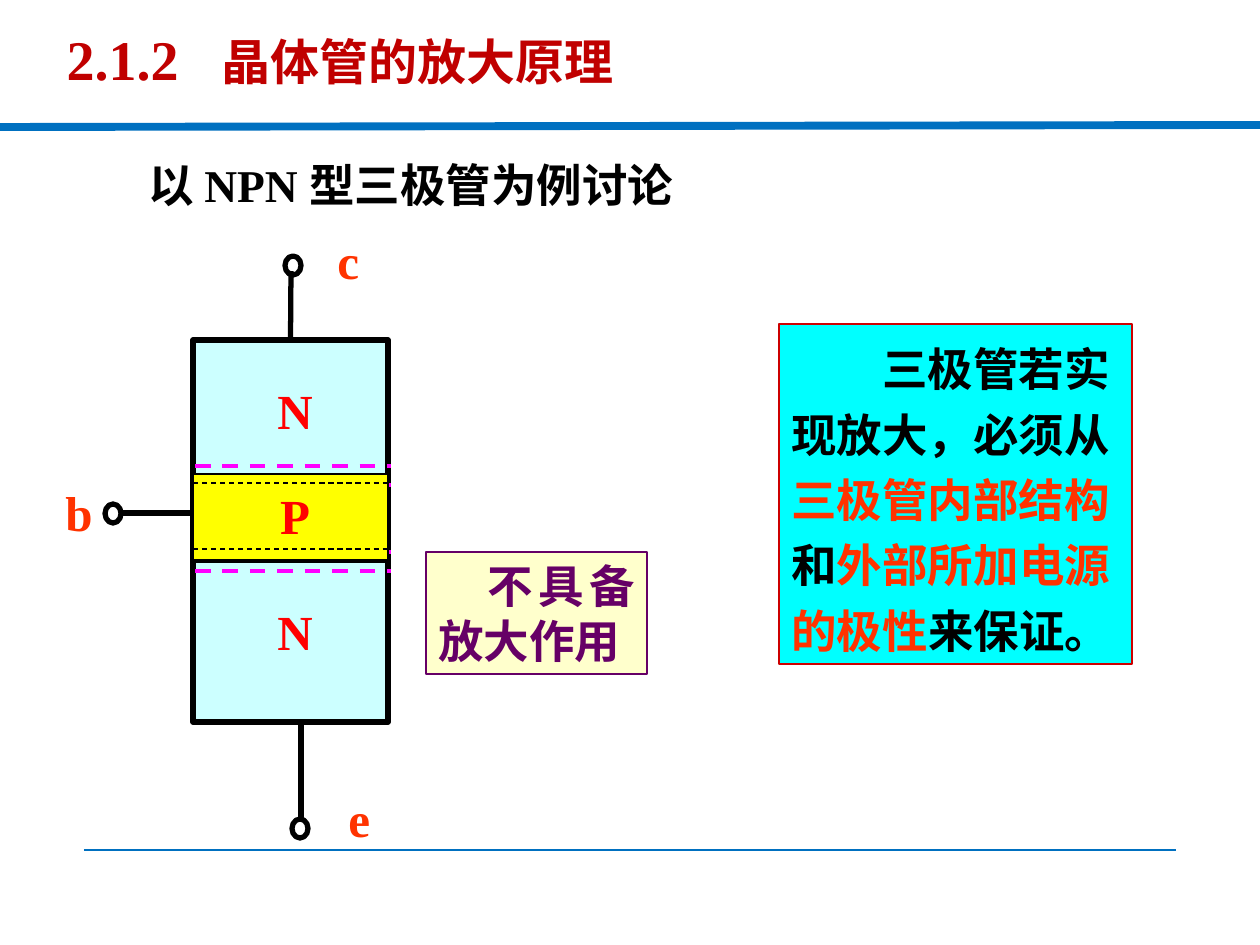
from lxml import etree
from pptx import Presentation
from pptx.dml.color import RGBColor
from pptx.enum.dml import MSO_LINE
from pptx.enum.shapes import MSO_CONNECTOR, MSO_SHAPE
from pptx.enum.text import MSO_ANCHOR, MSO_AUTO_SIZE, PP_ALIGN
from pptx.oxml.ns import qn
from pptx.util import Emu, Pt

PX = 914400 / 126
FONT = "Times New Roman"
DASH = MSO_LINE.DASH
STRAIGHT = MSO_CONNECTOR.STRAIGHT
RECTANGLE, OVAL = MSO_SHAPE.RECTANGLE, MSO_SHAPE.OVAL
TOP, MIDDLE = MSO_ANCHOR.TOP, MSO_ANCHOR.MIDDLE
LEFT, CENTER, JUSTIFY = PP_ALIGN.LEFT, PP_ALIGN.CENTER, PP_ALIGN.JUSTIFY
TITLE_ONLY = 5
COLORS = {
    "rule": "0070C0", "title": "C00000", "black": "000000",
    "terminal": "FF3300", "region": "FF0000", "n_type": "CCFFFF",
    "p_type": "FFFF00", "depletion": "FF00FF", "cyan": "00FFFF",
    "cyan_edge": "CC0000", "note": "FFFFCC", "purple": "660066",
}


def px(value):
    return Emu(round(value * PX))


def color(name):
    return RGBColor.from_string(COLORS[name])


def add_line(slide, start, end, line_color, width, dash=None):
    line = slide.shapes.add_connector(STRAIGHT, *map(px, (*start, *end)))
    line.line.color.rgb = color(line_color)
    line.line.width = Pt(width)
    if dash:
        line.line.dash_style = dash
    etree.SubElement(line._element.spPr, qn("a:effectLst"))
    return line


def add_shape(slide, kind, box, fill, line_color, width):
    shape = slide.shapes.add_shape(kind, *map(px, box))
    shape.shadow.inherit = False
    if fill:
        shape.fill.solid()
        shape.fill.fore_color.rgb = color(fill)
    else:
        shape.fill.background()
    shape.line.color.rgb = color(line_color)
    shape.line.width = Pt(width)
    return shape


def write(shape, pieces, align=LEFT, anchor=TOP, wrap=True, indent=0):
    frame = shape.text_frame
    frame.word_wrap = wrap
    frame.auto_size = MSO_AUTO_SIZE.NONE
    frame.vertical_anchor = anchor
    paragraph = frame.paragraphs[0]
    paragraph.alignment = align
    if indent:
        paragraph._p.get_or_add_pPr().set("indent", str(Pt(indent)))
    for text, size, name in pieces:
        run = paragraph.add_run()
        run.text = text
        run.font.size = Pt(size)
        run.font.name = FONT
        run.font.bold = True
        run.font.color.rgb = color(name)
    return paragraph


def add_label(slide, box, pieces, **options):
    return write(slide.shapes.add_textbox(*map(px, box)), pieces, **options)


def add_rules(slide):
    add_line(slide, (84, 850), (1176, 850), "rule", 1.5)
    add_line(slide, (0, 127), (1260, 125), "rule", 4.5)


def add_title(slide, left, top, width, height):
    title = slide.shapes.title
    title.left, title.top, title.width, title.height = map(px, (left, top, width, height))
    paragraph = write(title, [("2.1.2\t", 32, "title"), ("晶体管的放大原理", 28, "title")])
    tabs = etree.SubElement(paragraph._p.get_or_add_pPr(), qn("a:tabLst"))
    etree.SubElement(tabs, qn("a:tab"), pos=str(px(155)), algn="l")


def add_transistor(slide, left, top):
    def at(x, y):
        return left + x, top + y

    body = add_shape(slide, RECTANGLE, (*at(140, 116), 195, 382), "n_type", "black", 3)
    for junction in (251, 337):
        add_line(slide, at(142, junction), at(338, junction), "black", 2.25)
        for edge in (junction - 9, junction + 10):
            add_line(slide, at(142, edge), at(338, edge), "depletion", 2.25, DASH)

    collector = add_line(slide, at(238, 116), at(238, 47), "black", 3)
    collector.begin_connect(body, 0)
    add_line(slide, at(248, 499), at(248, 595), "black", 3)
    add_line(slide, at(142, 289), at(68, 289), "black", 3)

    add_shape(slide, RECTANGLE, (*at(140, 250), 195, 86), "p_type", "black", 0.75)
    for y in (259, 325):
        add_line(slide, at(140, y), at(336, y), "black", 0.75, DASH)

    terminals = [
        ("c", (232, 32), (272, 0)),
        ("b", (52, 280), (0, 252)),
        ("e", (239, 595), (283, 558)),
    ]
    for name, ring, label in terminals:
        add_shape(slide, OVAL, (*at(*ring), 16, 19), None, "black", 3)
        add_label(slide, (*at(*label), 84, 72), [(name, 28, "terminal")])
    for name, y in (("N", 150), ("P", 255), ("N", 371)):
        add_label(slide, (*at(212, y), 60, 72), [(name, 28, "region")],
                  align=CENTER, anchor=MIDDLE, wrap=False)


def add_condition(slide, left, top, width, height):
    panel = add_shape(slide, RECTANGLE, (left, top, width, height), "cyan", "cyan_edge", 0.75)
    parts = [
        ("三极管若实现放大，必须从", "black"),
        ("三极管内部结构", "terminal"),
        ("和", "black"),
        ("外部所加电源的极性", "terminal"),
        ("来保证。", "black"),
    ]
    paragraph = write(panel, [(text, 26, name) for text, name in parts], indent=52)
    paragraph.line_spacing = 1.2


def add_note(slide, left, top, width, height):
    note = add_shape(slide, RECTANGLE, (left, top, width, height), "note", "purple", 0.75)
    write(note, [("不具备放大作用", 26, "purple")], align=JUSTIFY, indent=28)


def main():
    presentation = Presentation()
    presentation.slide_width = px(1260)
    presentation.slide_height = px(945)
    slide = presentation.slides.add_slide(presentation.slide_layouts[TITLE_ONLY])
    add_rules(slide)
    add_title(slide, 54, 18, 784, 81)
    add_label(slide, (136, 151, 683, 68), [("以 NPN 型三极管为例讨论", 26, "black")], align=JUSTIFY)
    add_transistor(slide, 53, 224)
    add_condition(slide, 779, 324, 353, 340)
    add_note(slide, 426, 552, 221, 122)
    presentation.save("out.pptx")


if __name__ == "__main__":
    main()
